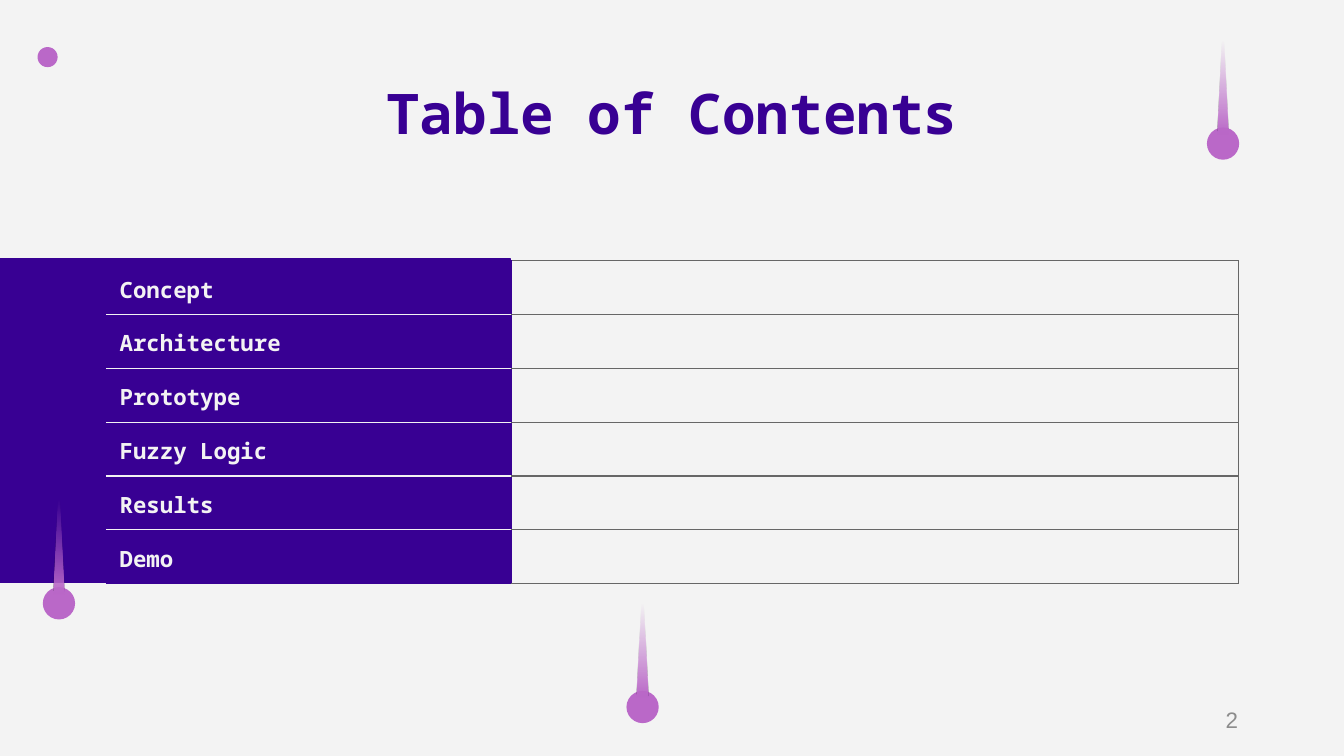
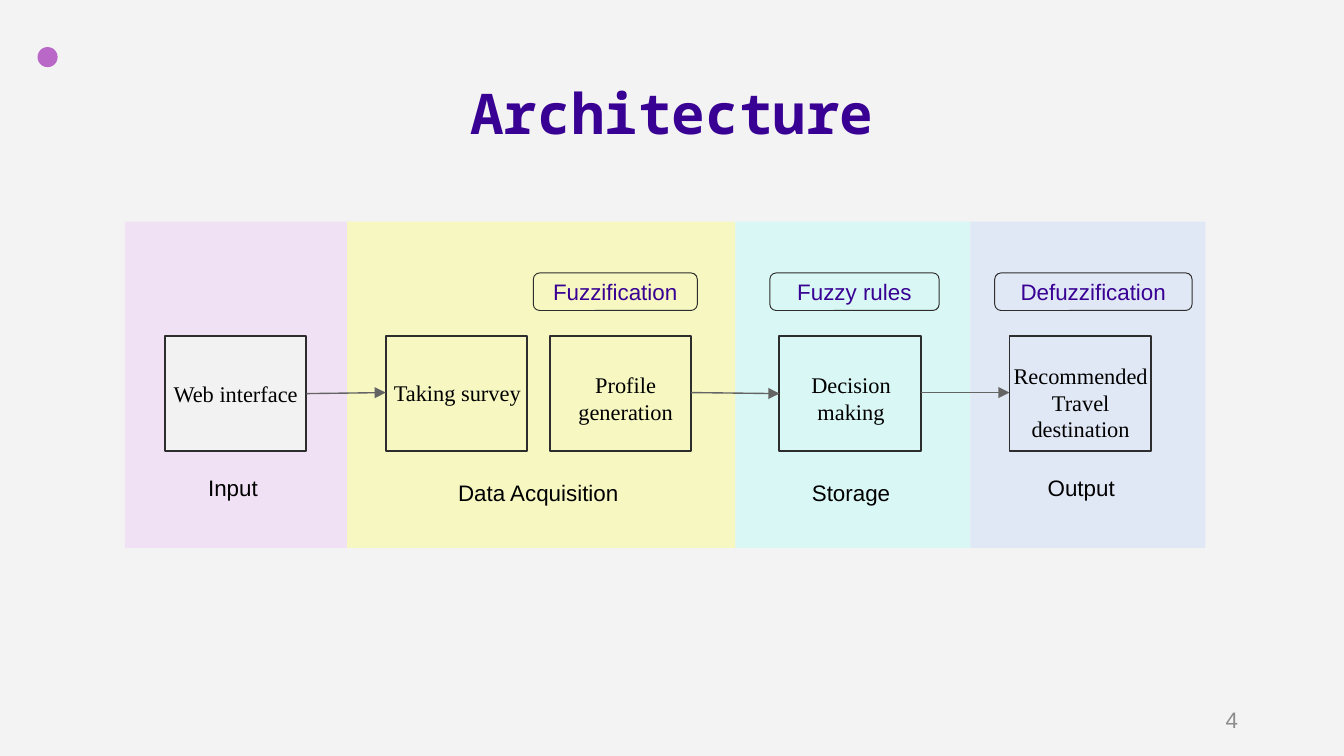
from dataclasses import dataclass
from itertools import accumulate
from typing import Any, NamedTuple

from lxml import etree
from pptx import Presentation
from pptx.dml.color import RGBColor
from pptx.enum.shapes import MSO_CONNECTOR, MSO_SHAPE
from pptx.enum.text import MSO_ANCHOR, PP_ALIGN
from pptx.oxml.ns import qn
from pptx.slide import Slide
from pptx.util import Cm, Pt

RECT, ROUND = MSO_SHAPE.RECTANGLE, MSO_SHAPE.ROUNDED_RECTANGLE
OVAL, TRIANGLE = MSO_SHAPE.OVAL, MSO_SHAPE.ISOSCELES_TRIANGLE
STRAIGHT = MSO_CONNECTOR.STRAIGHT
TOP, MIDDLE, BOTTOM = MSO_ANCHOR.TOP, MSO_ANCHOR.MIDDLE, MSO_ANCHOR.BOTTOM
LEFT, CENTER, RIGHT = PP_ALIGN.LEFT, PP_ALIGN.CENTER, PP_ALIGN.RIGHT

# Shared palette and type
PAPER, PURPLE, ORCHID = "F3F3F3", "380093", "BA68C8"
INK, OUTLINE, GRID, ARROW, MUTED = "000000", "2D2D2D", "666666", "646464", "8C8C8C"
MONO, SANS, SERIF = "Noto Sans Mono", "Arial", "Times New Roman"
INSET = 0.25


class Frame(NamedTuple):
    left: float
    top: float
    width: float
    height: float

    def lengths(self) -> list[Cm]:
        return [Cm(value) for value in self]


@dataclass(frozen=True)
class TextStyle:
    font: str
    color: str
    size: float = 12
    bold: bool = False
    align: PP_ALIGN = CENTER


@dataclass(frozen=True)
class Stage:
    label: str
    label_frame: Frame
    width: float
    fill: str
    opacity: int = 100


@dataclass(frozen=True)
class Step:
    text: str
    left: float
    text_frame: Frame
    fill: str | None = None


class Badge(NamedTuple):
    text: str
    left: float
    width: float


class Link(NamedTuple):
    source: int
    target: int
    start_y: float
    end_y: float


TITLE = TextStyle(MONO, PURPLE, 30, True)
TOPIC = TextStyle(MONO, PAPER, bold=True, align=LEFT)
NUMBER = TextStyle(SANS, MUTED, align=RIGHT)
STEP = TextStyle(SERIF, INK)
LABEL = TextStyle(SANS, INK)
BADGE = TextStyle(SANS, PURPLE)

# Contents slide
TOPICS = ["Concept", "Architecture", "Prototype", "Fuzzy Logic", "Results", "Demo"]
PINS = [(11.84, 13.06), (22.81, 2.41), (0.81, 11.1)]
PIN_SIZE = 0.61

# Architecture slide
STAGE_LEFT, STAGE_TOP, STAGE_HEIGHT = 2.36, 4.19, 6.17
STAGES = [
    Stage("Input", Frame(2.87, 8.84, 3.07, 0.76), 4.2, "F1E1F4"),
    Stage("Data Acquisition", Frame(8.36, 8.92, 3.63, 0.76), 7.34, "F6F7C1"),
    Stage("Storage", Frame(14.55, 8.92, 3.07, 0.76), 4.44, "CAFAF6", 63),
    Stage("Output", Frame(18.9, 8.84, 3.07, 0.76), 4.44, "E1E8F5"),
]
STEP_TOP, STEP_WIDTH, STEP_HEIGHT = 6.35, 2.67, 2.18
STEPS = [
    Step("Web interface", 3.12, Frame(2.92, 7.06, 3.07, 0.76), "F2F2F2"),
    Step("Taking survey", 7.29, Frame(7.11, 7.04, 3.07, 0.76)),
    Step("Profile generation", 10.39, Frame(10.29, 6.88, 3.07, 1.27)),
    Step("Decision making", 14.73, Frame(14.55, 6.88, 3.07, 1.27)),
    Step("Recommended Travel destination", 19.08, Frame(18.8, 6.71, 3.25, 1.8)),
]
LINKS = [Link(0, 1, 7.44, 7.42), Link(2, 3, 7.42, 7.44), Link(3, 4, 7.42, 7.42)]
BADGE_TOP, BADGE_HEIGHT = 5.16, 0.71
BADGES = [
    Badge("Fuzzification", 10.08, 3.1),
    Badge("Fuzzy rules", 14.55, 3.2),
    Badge("Defuzzification", 18.8, 3.73),
]


def rgb(color: str) -> RGBColor:
    return RGBColor.from_string(color)


def add_node(parent: Any, tag: str, **attributes: str) -> Any:
    return etree.SubElement(parent, qn(tag), attributes)


def color_node(parent: Any, color: str, opacity: int = 100) -> None:
    node = add_node(parent, "a:srgbClr", val=color)
    if opacity < 100:
        add_node(node, "a:alpha", val=str(opacity * 1000))


def write(text_frame: Any, text: str, style: TextStyle) -> None:
    para = text_frame.paragraphs[0]
    para.alignment = style.align
    span = para.add_run()
    span.text = text
    formats = {"name": style.font, "size": Pt(style.size), "bold": style.bold}
    for name, value in formats.items():
        setattr(span.font, name, value)
    span.font.color.rgb = rgb(style.color)


def add_text(page: Slide, frame: Frame, text: str, style: TextStyle,
             anchor: MSO_ANCHOR = TOP, inset: float = 0.13) -> None:
    box = page.shapes.add_textbox(*frame.lengths())
    formats = {"word_wrap": True, "vertical_anchor": anchor,
               "margin_top": Cm(inset), "margin_bottom": Cm(inset)}
    for name, value in formats.items():
        setattr(box.text_frame, name, value)
    write(box.text_frame, text, style)


def add_box(shapes: Any, kind: MSO_SHAPE, frame: Frame, fill: str | None = None,
            line: str | None = None, weight: float = 1, opacity: int = 100) -> Any:
    box = shapes.add_shape(kind, *frame.lengths())
    box.shadow.inherit = False
    if fill:
        box.fill.solid()
        box.fill.fore_color.rgb = rgb(fill)
        if opacity < 100:
            solid = box.element.spPr.find(qn("a:solidFill"))
            solid.clear()
            color_node(solid, fill, opacity)
    else:
        box.fill.background()
    if line:
        box.line.color.rgb = rgb(line)
        box.line.width = Pt(weight)
    else:
        box.line.fill.background()
    return box


def fade_up(box: Any, color: str) -> None:
    """Fade the fill from solid at the base to clear near the tip."""
    gradient = etree.Element(qn("a:gradFill"), rotWithShape="1")
    stops = add_node(gradient, "a:gsLst")
    for position, opacity in ((0, 100), (80, 0), (100, 0)):
        color_node(add_node(stops, "a:gs", pos=str(position * 1000)), color, opacity)
    add_node(gradient, "a:lin", ang=str(270 * 60000), scaled="0")
    properties = box.element.spPr
    properties.replace(properties.find(qn("a:noFill")), gradient)


def add_pin(page: Slide, left: float, top: float) -> None:
    group = page.shapes.add_group_shape()
    add_box(group.shapes, OVAL, Frame(left, top, PIN_SIZE, PIN_SIZE), ORCHID)
    tail = add_box(group.shapes, TRIANGLE, Frame(left + 0.2, top - 2.08, 0.21, 2.21))
    fade_up(tail, ORCHID)


def add_arrow(page: Slide, link: Link) -> None:
    start = STEPS[link.source].left + STEP_WIDTH
    ends = (start, link.start_y, STEPS[link.target].left, link.end_y)
    arrow = page.shapes.add_connector(STRAIGHT, *[Cm(value) for value in ends])
    arrow.line.color.rgb = rgb(ARROW)
    arrow.line.width = Pt(0.75)
    add_node(arrow.line._get_or_add_ln(), "a:tailEnd", type="triangle")
    add_node(arrow.element.spPr, "a:effectLst")


def set_borders(cell: Any, left: str, right: str, top: str, bottom: str) -> None:
    properties = cell._tc.get_or_add_tcPr()
    sides = {"a:lnL": left, "a:lnR": right, "a:lnT": top, "a:lnB": bottom}
    for position, (tag, color) in enumerate(sides.items()):
        line = etree.Element(qn(tag), w=str(Pt(0.75)))
        color_node(add_node(line, "a:solidFill"), color)
        properties.insert(position, line)


def add_topics(page: Slide) -> None:
    frame = Frame(2.01, 4.93, 21.4, 0.97 * len(TOPICS))
    table = page.shapes.add_table(len(TOPICS), 2, *frame.lengths()).table
    table.first_row = table.horz_banding = False
    for column, width in zip(table.columns, (7.65, 13.75)):
        column.width = Cm(width)
    last = len(TOPICS) - 1
    for index, topic in enumerate(TOPICS):
        name, detail = table.cell(index, 0), table.cell(index, 1)
        name.fill.solid()
        name.fill.fore_color.rgb = rgb(PURPLE)
        name.vertical_anchor = MIDDLE
        for side in ("left", "right", "top", "bottom"):
            setattr(name, f"margin_{side}", Cm(INSET))
        write(name.text_frame, topic, TOPIC)
        set_borders(name, PURPLE, PURPLE, PAPER if index else PURPLE,
                    PAPER if index < last else PURPLE)
        detail.fill.background()
        set_borders(detail, PURPLE, GRID, GRID, GRID)


def add_page(deck: Any) -> Slide:
    page = deck.slides.add_slide(deck.slide_layouts[6])
    page.background.fill.solid()
    page.background.fill.fore_color.rgb = rgb(PAPER)
    add_box(page.shapes, OVAL, Frame(0.71, 0.89, 0.38, 0.38), ORCHID)
    return page


def add_heading(page: Slide, title: str, number: int) -> None:
    add_text(page, Frame(1.98, 1.5, 21.44, 1.5), title, TITLE, BOTTOM, INSET)
    add_text(page, Frame(17.93, 13.23, 5.72, 0.76), str(number), NUMBER, MIDDLE)


def build_contents(deck: Any) -> None:
    page = add_page(deck)
    add_box(page.shapes, RECT, Frame(0, 4.9, 9.65, 6.1), PURPLE, PURPLE, 0.75)
    add_heading(page, "Table of Contents", 2)
    add_topics(page)
    for left, top in PINS:
        add_pin(page, left, top)


def build_architecture(deck: Any) -> None:
    page = add_page(deck)
    # Stage bands, side by side
    lefts = accumulate((stage.width for stage in STAGES), initial=STAGE_LEFT)
    for stage, left in zip(STAGES, lefts):
        band = Frame(left, STAGE_TOP, stage.width, STAGE_HEIGHT)
        add_box(page.shapes, RECT, band, stage.fill, opacity=stage.opacity)
        add_text(page, stage.label_frame, stage.label, LABEL)
    add_heading(page, "Architecture", 4)
    # Steps and the flow between them
    for step in STEPS:
        frame = Frame(step.left, STEP_TOP, STEP_WIDTH, STEP_HEIGHT)
        add_box(page.shapes, RECT, frame, step.fill, OUTLINE)
        add_text(page, step.text_frame, step.text, STEP)
    for link in LINKS:
        add_arrow(page, link)
    # Fuzzy logic badges
    for badge in BADGES:
        frame = Frame(badge.left, BADGE_TOP, badge.width, BADGE_HEIGHT)
        box = add_box(page.shapes, ROUND, frame, line=OUTLINE, weight=0.5)
        box.text_frame.vertical_anchor = MIDDLE
        write(box.text_frame, badge.text, BADGE)


def main() -> None:
    deck = Presentation()
    deck.slide_width, deck.slide_height = Cm(25.4), Cm(14.29)
    build_contents(deck)
    build_architecture(deck)
    deck.save("out.pptx")


if __name__ == "__main__":
    main()
